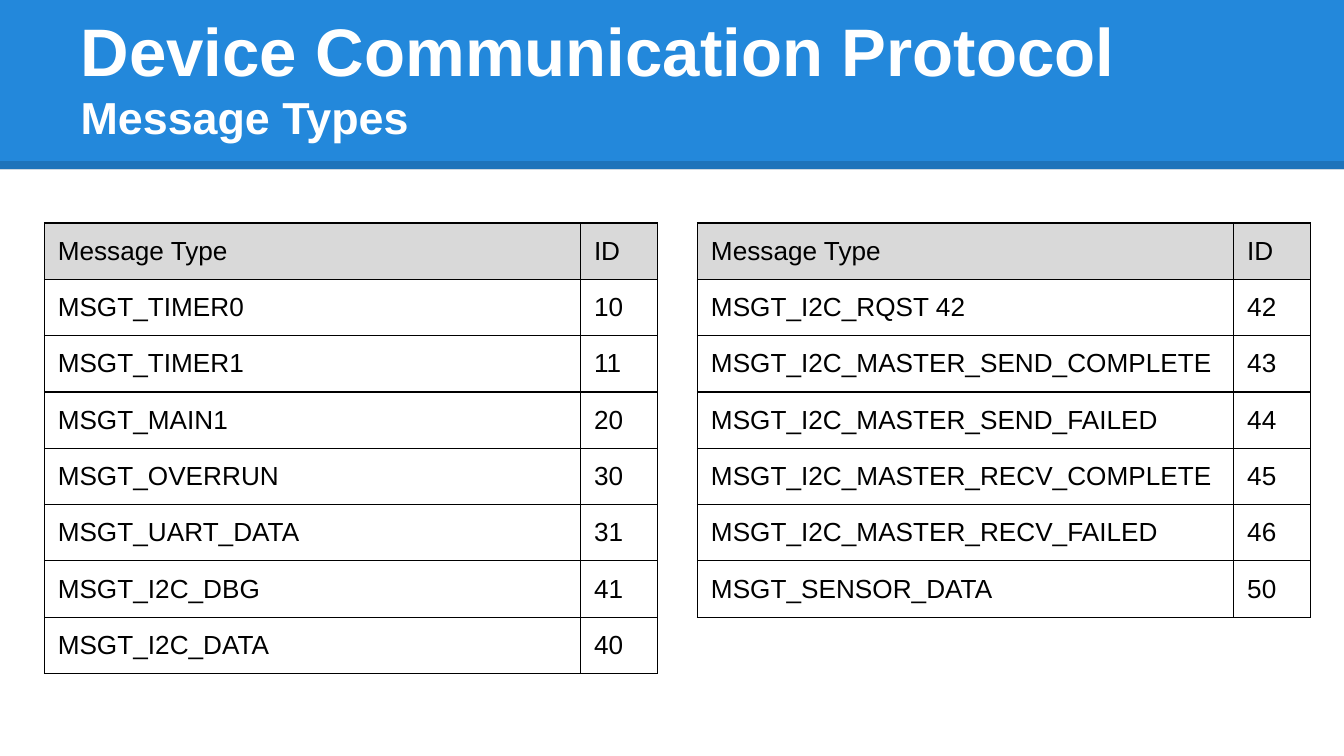
from dataclasses import dataclass

from lxml import etree
from pptx import Presentation
from pptx import util as u
from pptx.dml.color import RGBColor
from pptx.enum import shapes, text
from pptx.oxml import ns

BLUE = RGBColor(0x23, 0x88, 0xDB)
WHITE = RGBColor(0xFF, 0xFF, 0xFF)
BLACK = RGBColor(0x00, 0x00, 0x00)
GREY = RGBColor(0xD9, 0xD9, 0xD9)

# Widescreen, 16:9
SLIDE_WIDTH = u.Inches(10)
SLIDE_HEIGHT = u.Emu(SLIDE_WIDTH * 9 // 16)
MARGIN = u.Inches(0.1)
MARGINS = {"margin_left": MARGIN, "margin_right": MARGIN,
           "margin_top": MARGIN, "margin_bottom": MARGIN}
TABLE_TOP = u.Inches(1.66)
ROW_HEIGHT = u.Inches(0.41)
COLUMN_WIDTHS = (u.Inches(3.99), u.Inches(0.57))
HEADER = ("Message Type", "ID")


@dataclass
class MessageTable:
    left: float
    messages: list[tuple[str, int]]


TABLES = [
    MessageTable(0.33, [
        ("MSGT_TIMER0", 10),
        ("MSGT_TIMER1", 11),
        ("MSGT_MAIN1", 20),
        ("MSGT_OVERRUN", 30),
        ("MSGT_UART_DATA", 31),
        ("MSGT_I2C_DBG", 41),
        ("MSGT_I2C_DATA", 40),
    ]),
    MessageTable(5.19, [
        ("MSGT_I2C_RQST 42", 42),
        ("MSGT_I2C_MASTER_SEND_COMPLETE", 43),
        ("MSGT_I2C_MASTER_SEND_FAILED", 44),
        ("MSGT_I2C_MASTER_RECV_COMPLETE", 45),
        ("MSGT_I2C_MASTER_RECV_FAILED", 46),
        ("MSGT_SENSOR_DATA", 50),
    ]),
]


def set_values(target, values: dict) -> None:
    for name, value in values.items():
        setattr(target, name, value)


def write(paragraph, content: str, size: float, color: RGBColor, bold: bool) -> None:
    run = paragraph.add_run()
    run.text = content
    set_values(run.font, {"name": "Arial", "size": u.Pt(size), "bold": bold})
    run.font.color.rgb = color


def add_header_band(slide) -> None:
    band = slide.shapes.add_shape(
        shapes.MSO_SHAPE.RECTANGLE, 0, 0, SLIDE_WIDTH, u.Inches(1.26))
    band.shadow.inherit = False
    band.fill.solid()
    band.fill.fore_color.rgb = BLUE
    band.line.fill.background()

    edge_y = u.Inches(1.23)
    edge = slide.shapes.add_connector(
        shapes.MSO_CONNECTOR.STRAIGHT, 0, edge_y, SLIDE_WIDTH, edge_y)
    edge.line.width = u.Pt(4.5)
    edge.line.color.rgb = BLACK
    properties = edge._element.spPr
    color = properties.find(".//" + ns.qn("a:srgbClr"))
    etree.SubElement(color, ns.qn("a:alpha"), val="15000")
    etree.SubElement(properties, ns.qn("a:effectLst"))


def format_title(slide) -> None:
    title = slide.shapes.title
    set_values(title, {"left": u.Inches(0.5), "top": u.Inches(0.23),
                       "width": u.Inches(9), "height": u.Inches(0.94)})
    frame = title.text_frame
    set_values(frame, {
        "word_wrap": True,
        "auto_size": text.MSO_AUTO_SIZE.NONE,
        "vertical_anchor": text.MSO_ANCHOR.BOTTOM,
        **MARGINS,
    })
    lines = [("Device Communication Protocol", 36), ("Message Types", 24)]
    for index, (content, size) in enumerate(lines):
        paragraph = frame.add_paragraph() if index else frame.paragraphs[0]
        paragraph.alignment = text.PP_ALIGN.LEFT
        write(paragraph, content, size, WHITE, True)
    # Bring the title in front of the band
    slide.shapes._spTree.append(title._element)


def add_borders(cell) -> None:
    properties = cell._tc.get_or_add_tcPr()
    for index, side in enumerate(("a:lnL", "a:lnR", "a:lnT", "a:lnB")):
        line = etree.Element(ns.qn(side), w=str(u.Pt(0.75)))
        fill = etree.SubElement(line, ns.qn("a:solidFill"))
        etree.SubElement(fill, ns.qn("a:srgbClr"), val=str(BLACK))
        properties.insert(index, line)


def add_message_table(slide, item: MessageTable) -> None:
    rows = [HEADER, *item.messages]
    table = slide.shapes.add_table(
        len(rows), len(HEADER), u.Inches(item.left), TABLE_TOP,
        sum(COLUMN_WIDTHS), ROW_HEIGHT * len(rows)).table
    set_values(table, {"first_row": False, "horz_banding": False})
    for column, width in zip(table.columns, COLUMN_WIDTHS):
        column.width = width
    for row_index, values in enumerate(rows):
        for column_index, value in enumerate(values):
            cell = table.cell(row_index, column_index)
            set_values(cell, MARGINS)
            write(cell.text_frame.paragraphs[0], str(value), 14, BLACK, False)
            if row_index == 0:
                cell.fill.solid()
                cell.fill.fore_color.rgb = GREY
            else:
                cell.fill.background()
            add_borders(cell)


def main() -> None:
    presentation = Presentation()
    set_values(presentation, {"slide_width": SLIDE_WIDTH, "slide_height": SLIDE_HEIGHT})
    slide = presentation.slides.add_slide(presentation.slide_layouts[5])

    # Header
    add_header_band(slide)
    format_title(slide)

    # Message tables
    for item in TABLES:
        add_message_table(slide, item)

    presentation.save("out.pptx")


if __name__ == "__main__":
    main()
